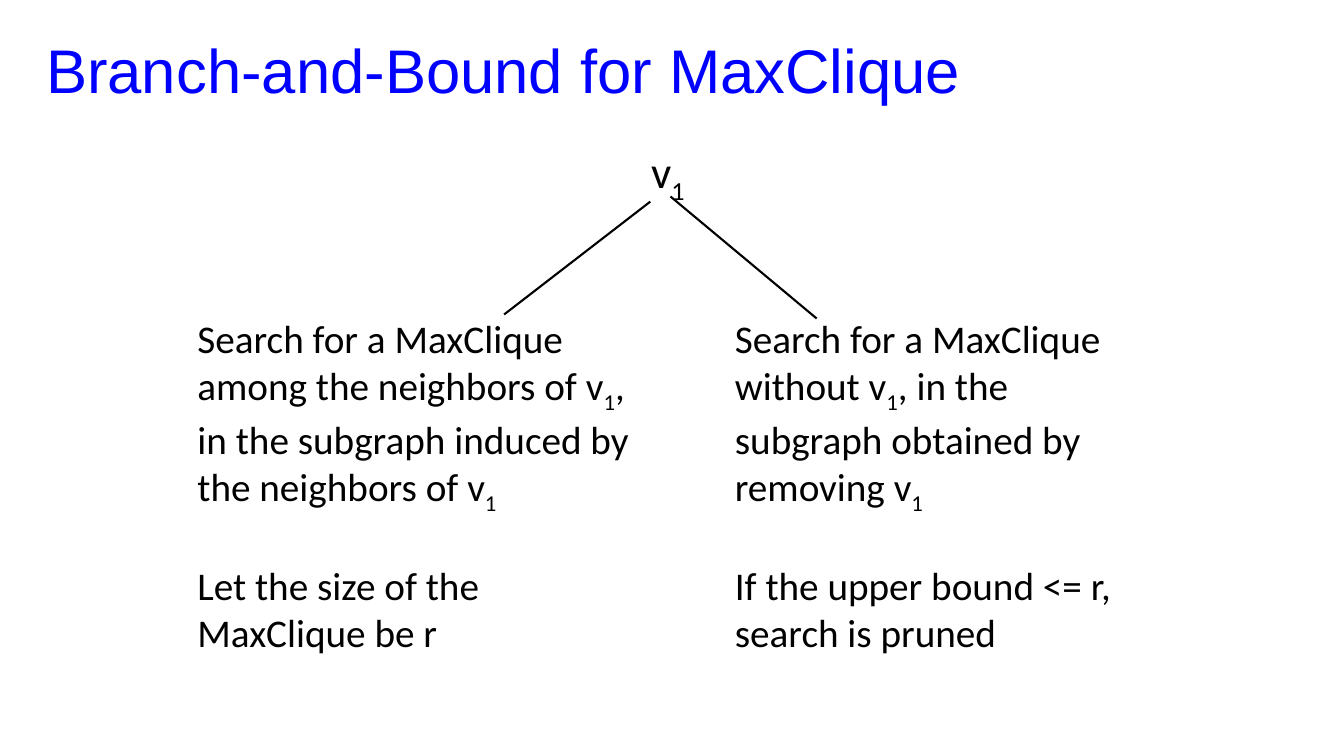
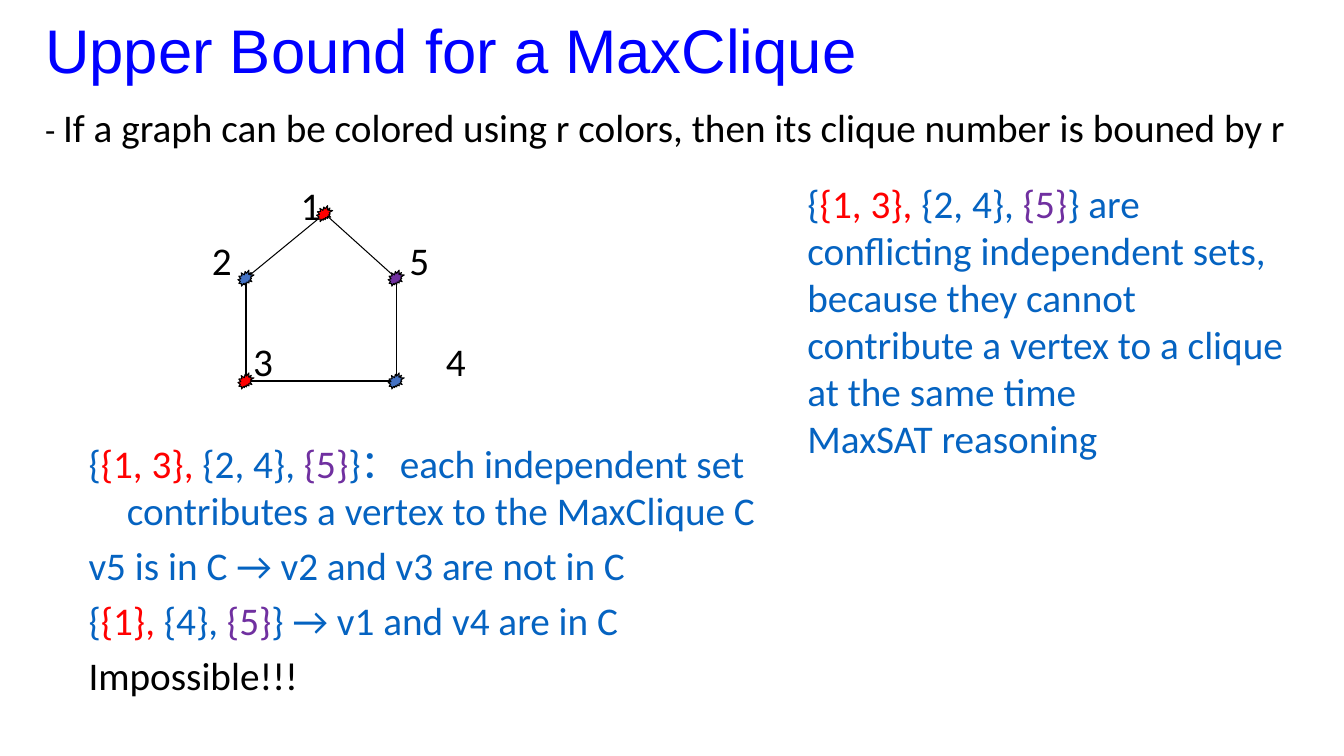
from lxml import etree
from pptx import Presentation
from pptx.dml.color import RGBColor
from pptx.enum.shapes import MSO_CONNECTOR, MSO_SHAPE
from pptx.enum.text import MSO_ANCHOR, PP_ALIGN
from pptx.oxml.ns import qn
from pptx.util import Inches, Pt

COLORS = {"title": "0000FF", "black": "000000", "text": "0563C1", "red": "FF0000",
          "blue": "4472C4", "purple": "7030A0"}
BODY_SIZE = 28


def color(name):
    """Return the named colour."""
    return RGBColor.from_string(COLORS[name])


def add_text(page, box, paras, size=BODY_SIZE, font="Calibri", align=PP_ALIGN.LEFT,
             anchor=MSO_ANCHOR.TOP, wrap=True, line_spacing=None, gap=0, hanging=0):
    """Add a text box; each paragraph is a list of (text, colour, options) runs."""
    frame = page.shapes.add_textbox(*map(Inches, box)).text_frame
    frame.word_wrap = wrap
    frame.vertical_anchor = anchor
    for index, runs in enumerate(paras):
        para = frame.add_paragraph() if index else frame.paragraphs[0]
        para.alignment = align
        para.space_before = Pt(gap if index else 0)
        if line_spacing:
            para.line_spacing = line_spacing
        if hanging:
            properties = para._p.get_or_add_pPr()
            properties.set("marL", str(Inches(hanging)))
            properties.set("indent", str(-Inches(hanging)))
        for text, name, *options in runs:
            span = para.add_run()
            span.text = text
            span.font.name = font
            span.font.size = Pt(size)
            span.font.color.rgb = color(name)
            for option in options:
                if option == "sub":
                    span._r.get_or_add_rPr().set("baseline", "-25000")
                else:
                    span.font.size = Pt(option)


def add_title(page, box, text):
    """Add the slide title."""
    add_text(page, box, [[(text, "title")]], size=44, font="Arial",
             anchor=MSO_ANCHOR.MIDDLE, line_spacing=0.9)


def add_line(page, start, end, width):
    """Add a straight black line between two points."""
    line = page.shapes.add_connector(MSO_CONNECTOR.STRAIGHT, *map(Inches, (*start, *end)))
    line.line.color.rgb = color("black")
    line.line.width = Pt(width)
    etree.SubElement(line._element.spPr, qn("a:effectLst"))


def with_subscripts(text):
    """Split text at each v_1 into black runs with a lowered 1."""
    runs = []
    for index, part in enumerate(text.split("_1")):
        if index:
            runs.append(("1", "black", "sub"))
        if part:
            runs.append((part, "black"))
    return runs


def colored_sets(first, second, ending):
    """Return the runs of a partition into red, blue and purple sets."""
    return [("{", "text"), (first + ", ", "red"), (second + ", ", "text"),
            ("{5}", "purple"), ("}" + ending, "text")]


def add_search_tree(page, box):
    """Draw the root vertex and its two search branches."""
    left, top, width, height = box
    add_line(page, (left + 4.59, top + 0.62), (left + 3.14, top + 1.74), 1.5)
    add_text(page, (left + 4.5, top, 0.59, 0.64), [with_subscripts("v_1")], size=32)
    add_line(page, (left + 4.79, top + 0.57), (left + 6.24, top + 1.78), 1.5)
    branches = [
        (0, 4.58, ["Search for a MaxClique among the neighbors of v_1,",
                   "in the subgraph induced by the neighbors of v_1"],
         "Let the size of the MaxClique be r"),
        (5.33, 4.42, ["Search for a MaxClique without v_1, in the subgraph "
                      "obtained by removing v_1"],
         "If the upper bound <= r, search is pruned"),
    ]
    for offset, branch_width, search, outcome in branches:
        branch_top = top + 1.69
        add_text(page, (left + offset, branch_top, branch_width, 2.4),
                 [with_subscripts(line) for line in search])
        add_text(page, (left + offset, top + height - 1.04, branch_width, 1.04),
                 [with_subscripts(outcome)])


def add_graph(page, box):
    """Draw the coloured five-vertex graph with its labels."""
    left, top, width, height = box
    right, bottom, shoulder = left + width, top + height, top + 0.64
    vertices = {
        "1": ((left + 0.78, top), "red", (-0.14, -0.09)),
        "2": ((left, shoulder), "blue", (-0.24, -0.18)),
        "3": ((left, bottom), "red", (0.17, -0.2)),
        "4": ((right, bottom), "blue", (0.59, -0.2)),
        "5": ((right, shoulder), "purple", (0.23, -0.18)),
    }
    for label, ((x, y), fill, (dx, dy)) in vertices.items():
        add_text(page, (x + dx - 0.25, y + dy - 0.28, 0.5, 0.56), [[(label, "black")]],
                 align=PP_ALIGN.CENTER, anchor=MSO_ANCHOR.MIDDLE)
    points = [point for point, *rest in vertices.values()]
    for start, end in zip(points, points[1:] + points[:1]):
        add_line(page, start, end, 0.75)
    for (x, y), fill, offset in vertices.values():
        vertex = page.shapes.add_shape(MSO_SHAPE.EXPLOSION2, Inches(x - 0.08),
                                       Inches(y - 0.08), Inches(0.16), Inches(0.16))
        vertex.shadow.inherit = False
        vertex.fill.solid()
        vertex.fill.fore_color.rgb = color(fill)
        vertex.line.color.rgb = color("black")
        vertex.line.width = Pt(0.75)


def build_branching(page):
    """Build the branch-and-bound slide."""
    add_title(page, (0.36, 0, 11.5, 1.45), "Branch-and-Bound for MaxClique")
    add_search_tree(page, (1.86, 1.38, 9.75, 5.18))


def build_upper_bound(page):
    """Build the upper bound slide."""
    add_title(page, (0.35, 0, 11.5, 1.06), "Upper Bound for a MaxClique")
    add_graph(page, (2.44, 2.12, 1.49, 1.66))
    add_text(page, (0.78, 4.31, 6.83, 3.15), [
        colored_sets("{1, 3}", "{2, 4}",
                     "：each independent set contributes a vertex to the MaxClique C"),
        [("v5 is in C → v2 and v3 are not in C", "text")],
        colored_sets("{1}", "{4}", "} → v1 and v4 are in C"[1:]),
        [("Impossible!!!", "black")],
    ], gap=5.6, hanging=0.38)
    add_text(page, (0.35, 0.98, 12.64, 0.57), [[
        ("- ", "black", 24),
        ("If a graph can be colored using r colors, then its clique number is bouned by r",
         "black"),
    ]], wrap=False)
    add_text(page, (7.91, 1.73, 5.08, 3.4), [
        colored_sets("{1, 3}", "{2, 4}",
                     " are conflicting independent sets, because they cannot "
                     "contribute a vertex to a clique at the same time"),
        [("MaxSAT reasoning", "text")],
    ])


deck = Presentation()
deck.slide_width, deck.slide_height = Inches(13.33), Inches(7.5)
for build in (build_branching, build_upper_bound):
    build(deck.slides.add_slide(deck.slide_layouts[6]))
deck.save("out.pptx")
